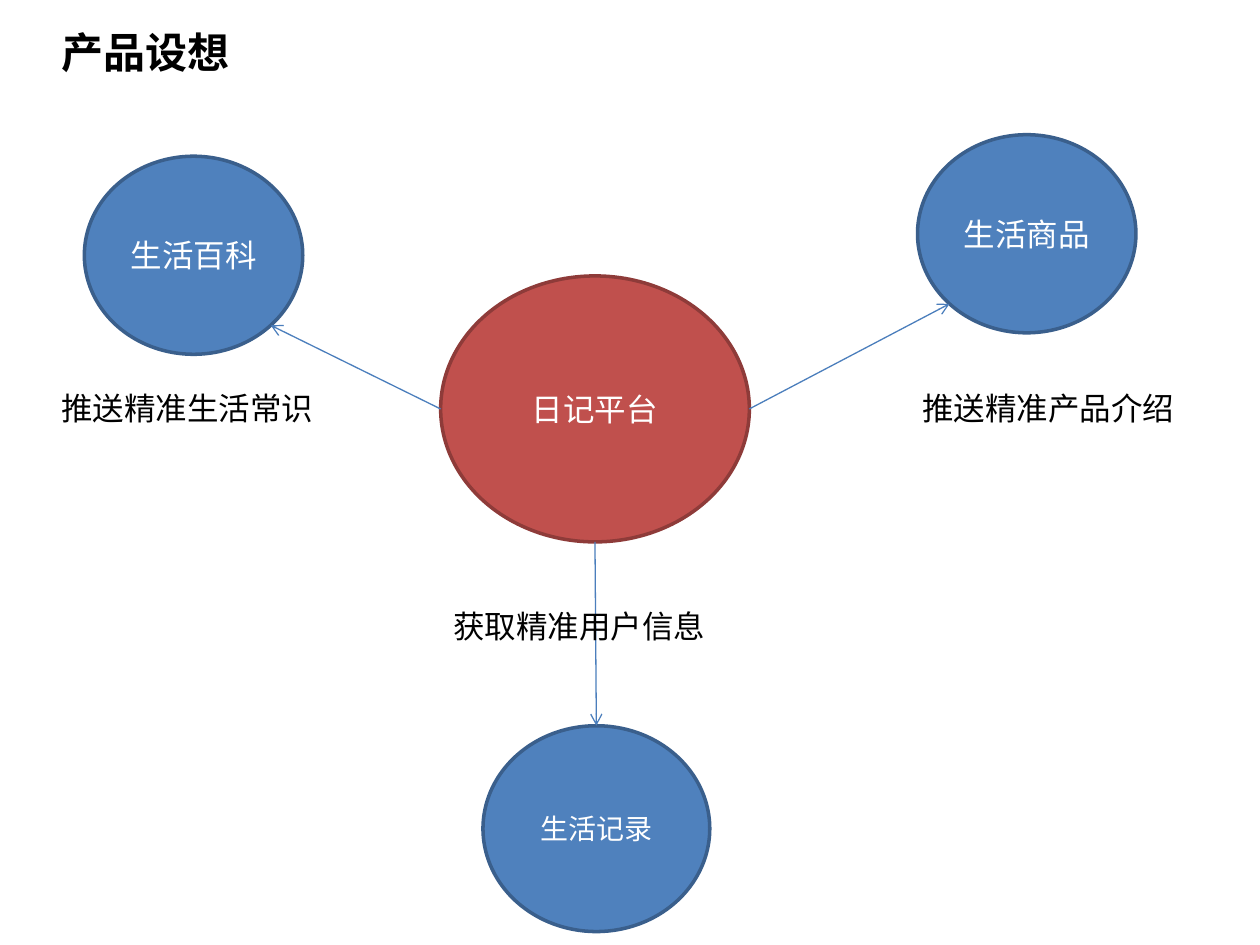
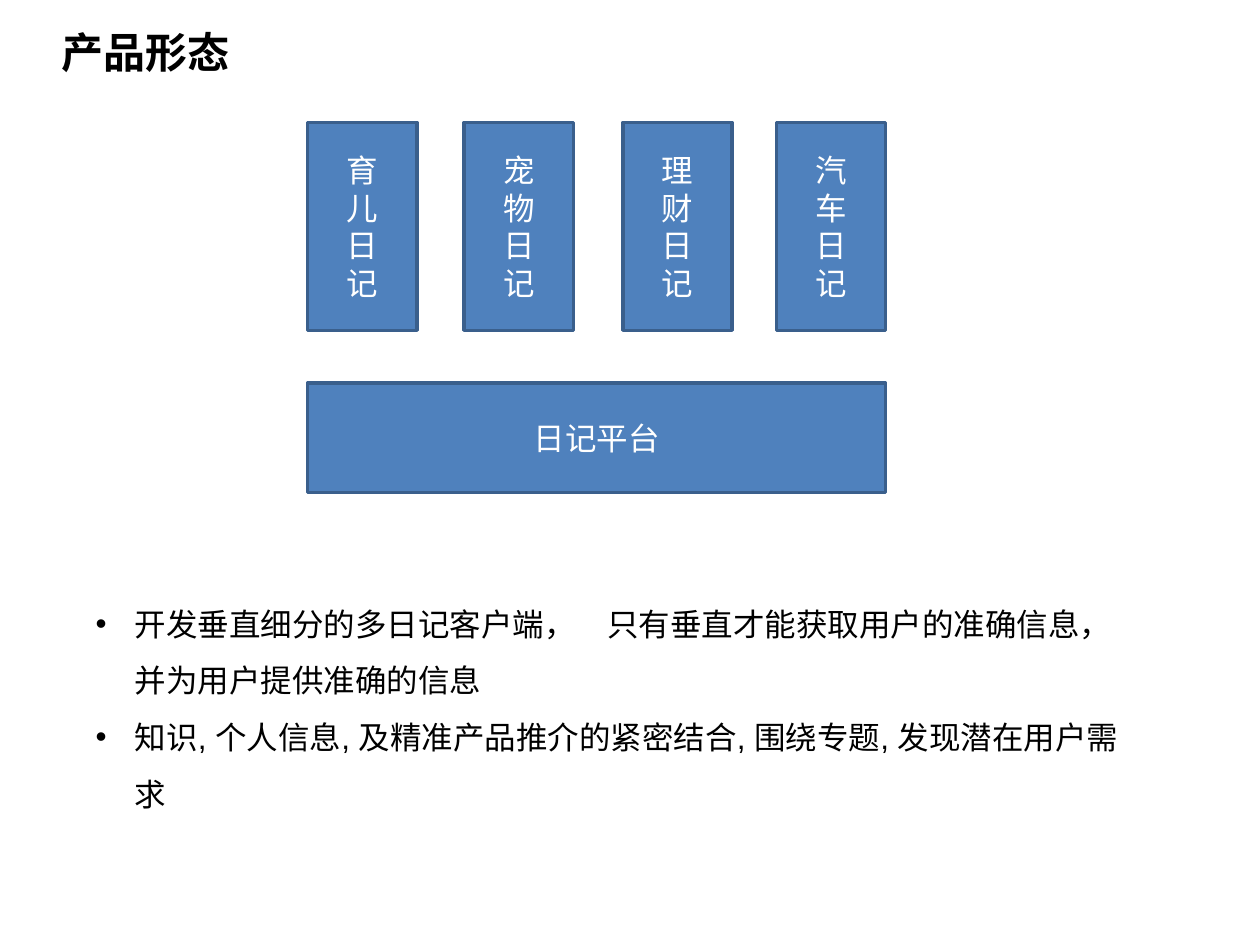
import math
from dataclasses import dataclass

from lxml import etree
from pptx import Presentation
from pptx import util as u
from pptx.dml import color as col
from pptx.enum import lang, shapes, text
from pptx.oxml import ns

Pt = u.Pt
Kind = shapes.MSO_SHAPE
Side = text.PP_ALIGN
Fit = text.MSO_AUTO_SIZE
Mid = text.MSO_ANCHOR


@dataclass(frozen=True)
class Theme:
    # colours
    blue: str = "4F81BD"
    navy: str = "3A5F8C"
    red: str = "C0504D"
    wine: str = "8E3B39"
    link: str = "4B7EBC"
    ink: str = "000000"
    white: str = "FFFFFF"
    # type
    head: str = "Noto Sans CJK SC"
    body: str = "Arial"
    label: str = "Calibri"
    large: float = 24
    base: float = 18
    small: float = 16
    # lines
    edge: float = 2
    thin: float = 0.75


def put(item, vals):
    for key, val in vals.items():
        setattr(item, key, val)


def rgb(code):
    return col.RGBColor.from_string(code)


def sub(node, tag, **vals):
    return etree.SubElement(node, ns.qn(tag), **vals)


def rim(oval, angle):
    """Point on an oval's rim; degrees run clockwise from the right."""
    turn = math.radians(angle)
    return (round(oval.left + oval.width / 2 * (1 + math.cos(turn))),
            round(oval.top + oval.height / 2 * (1 + math.sin(turn))))


class Deck:
    def __init__(self, theme):
        self.theme = theme
        self.show = Presentation()
        put(self.show, {"slide_width": Pt(720), "slide_height": Pt(540)})
        self.slide = None

    def words(self, frame, lines, font, size, tint, bold=False, align=Side.LEFT):
        frame.text = "\n".join(lines)
        for para in frame.paragraphs:
            para.alignment = align
            for run in para.runs:
                put(run.font, {"name": font, "size": Pt(size), "bold": bold,
                               "language_id": lang.MSO_LANGUAGE_ID.SIMPLIFIED_CHINESE})
                run.font.color.rgb = rgb(tint)

    def page(self, title):
        t = self.theme
        self.slide = self.show.slides.add_slide(self.show.slide_layouts[5])
        head = self.slide.shapes.title
        put(head, {"left": Pt(28), "top": Pt(11.5),
                   "width": Pt(523.5), "height": Pt(36)})
        put(head.text_frame, {"word_wrap": True, "vertical_anchor": Mid.TOP,
                              "auto_size": Fit.SHAPE_TO_FIT_TEXT})
        self.words(head.text_frame, [title], t.head, t.large, t.ink, bold=True)

    def block(self, kind, box, lines, size=None, fill=None, edge=None):
        t = self.theme
        item = self.slide.shapes.add_shape(kind, *map(Pt, box))
        item.shadow.inherit = False
        item.fill.solid()
        item.fill.fore_color.rgb = rgb(fill or t.blue)
        item.line.color.rgb = rgb(edge or t.navy)
        item.line.width = Pt(t.edge)
        put(item.text_frame, {"word_wrap": True, "vertical_anchor": Mid.MIDDLE})
        self.words(item.text_frame, lines, t.label, size or t.base, t.white,
                   align=Side.CENTER)
        return item

    def note(self, box, lines, wrap=False):
        t = self.theme
        frame = self.slide.shapes.add_textbox(*map(Pt, box)).text_frame
        put(frame, {"word_wrap": wrap, "auto_size": Fit.SHAPE_TO_FIT_TEXT})
        self.words(frame, lines, t.body, t.base, t.ink)
        return frame

    def points(self, box, lines):
        for para in self.note(box, lines, wrap=True).paragraphs:
            para.line_spacing = 1.5
            prop = para._p.get_or_add_pPr()
            prop.set("marL", str(Pt(22.5)))
            prop.set("indent", str(-Pt(22.5)))
            sub(prop, "a:buFont", typeface=self.theme.body)
            sub(prop, "a:buChar", char="•")

    def arrow(self, start, end):
        line = self.slide.shapes.add_connector(
            shapes.MSO_CONNECTOR.STRAIGHT, *start, *end)
        line.line.color.rgb = rgb(self.theme.link)
        line.line.width = Pt(self.theme.thin)
        prop = line._element.spPr
        sub(prop.find(ns.qn("a:ln")), "a:tailEnd", type="arrow")
        sub(prop, "a:effectLst")
        return line


def vision(deck):
    t = deck.theme
    deck.page("产品设想")

    # Platform and its three services
    hub = deck.block(Kind.OVAL, (251.8, 157.7, 176.4, 152), ["日记平台"],
                     fill=t.red, edge=t.wine)
    diary = deck.block(Kind.OVAL, (276, 414.7, 129.6, 117.6), ["生活记录"], t.small)
    wiki = deck.block(Kind.OVAL, (48.2, 89.3, 124.8, 113.2), ["生活百科"])
    goods = deck.block(Kind.OVAL, (524.3, 77, 124.8, 113.2), ["生活商品"])

    # Arrows from the platform
    deck.arrow(rim(hub, 180), rim(wiki, 45))
    deck.arrow(rim(hub, 0), rim(goods, 135))
    deck.arrow(rim(hub, 90), rim(diary, 270)).end_connect(diary, 0)

    # Captions
    for left, top, width, line in (
            (252, 343.5, 193.7, "获取精准用户信息"),
            (28, 219, 165, "推送精准生活常识"),
            (520, 219, 160, "推送精准产品介绍")):
        deck.note((left, top, width, 29), [line])


def form(deck):
    deck.page("产品形态")

    # Diary clients on the shared platform
    for left, topic in zip((175.7, 265.2, 355.9, 443.6),
                           ("育儿", "宠物", "理财", "汽车")):
        deck.block(Kind.RECTANGLE, (left, 70, 62.5, 118.8), list(topic + "日记"))
    deck.block(Kind.RECTANGLE, (175.7, 219, 330.4, 62.5), ["日记平台"])

    # Key points
    deck.points((47.5, 331.2, 602, 138), [
        "开发垂直细分的多日记客户端，　只有垂直才能获取用户的准确信息，并为用户提供准确的信息",
        "知识, 个人信息, 及精准产品推介的紧密结合, 围绕专题, 发现潜在用户需求"])


def main():
    deck = Deck(Theme())
    vision(deck)
    form(deck)
    deck.show.save("out.pptx")


if __name__ == "__main__":
    main()
